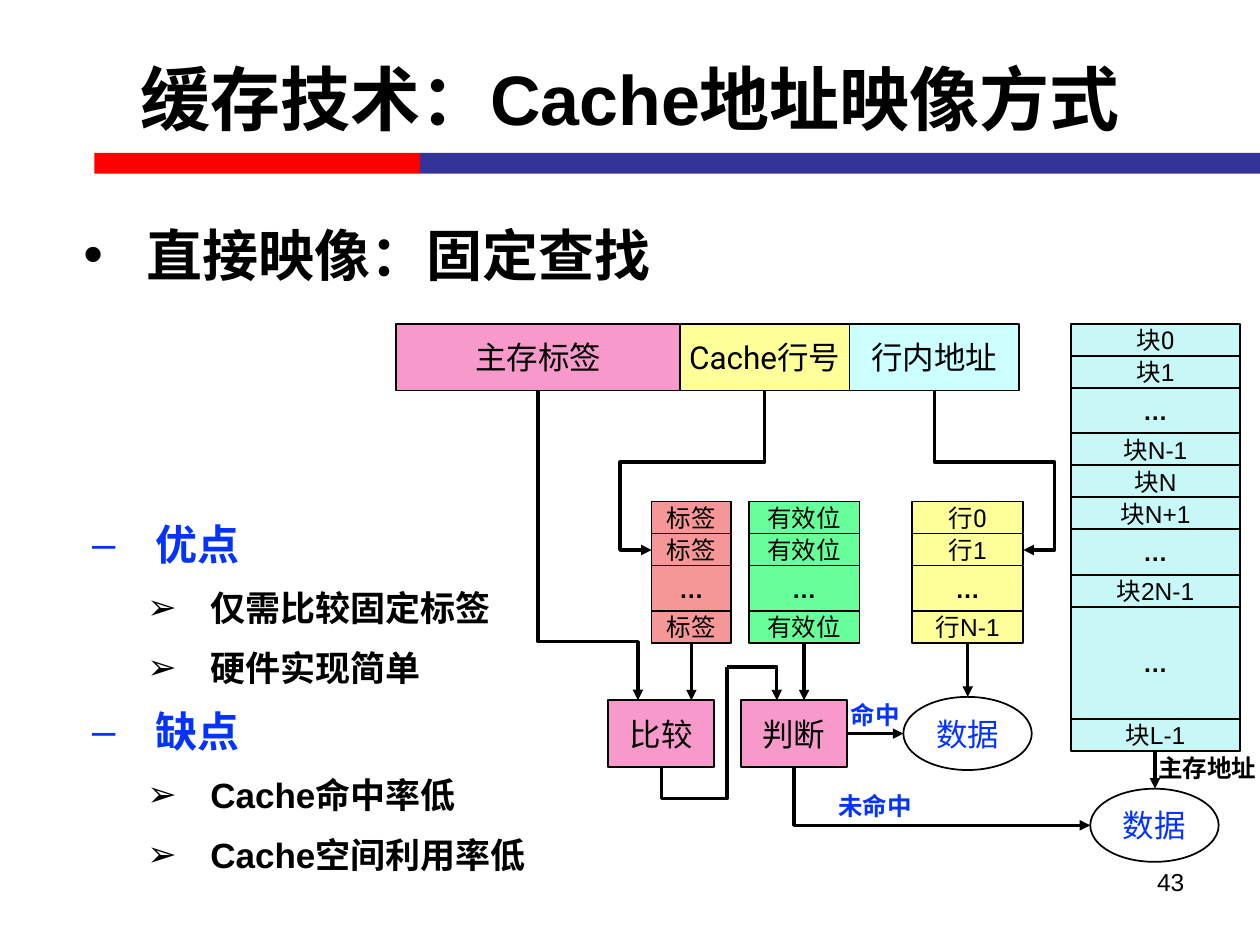
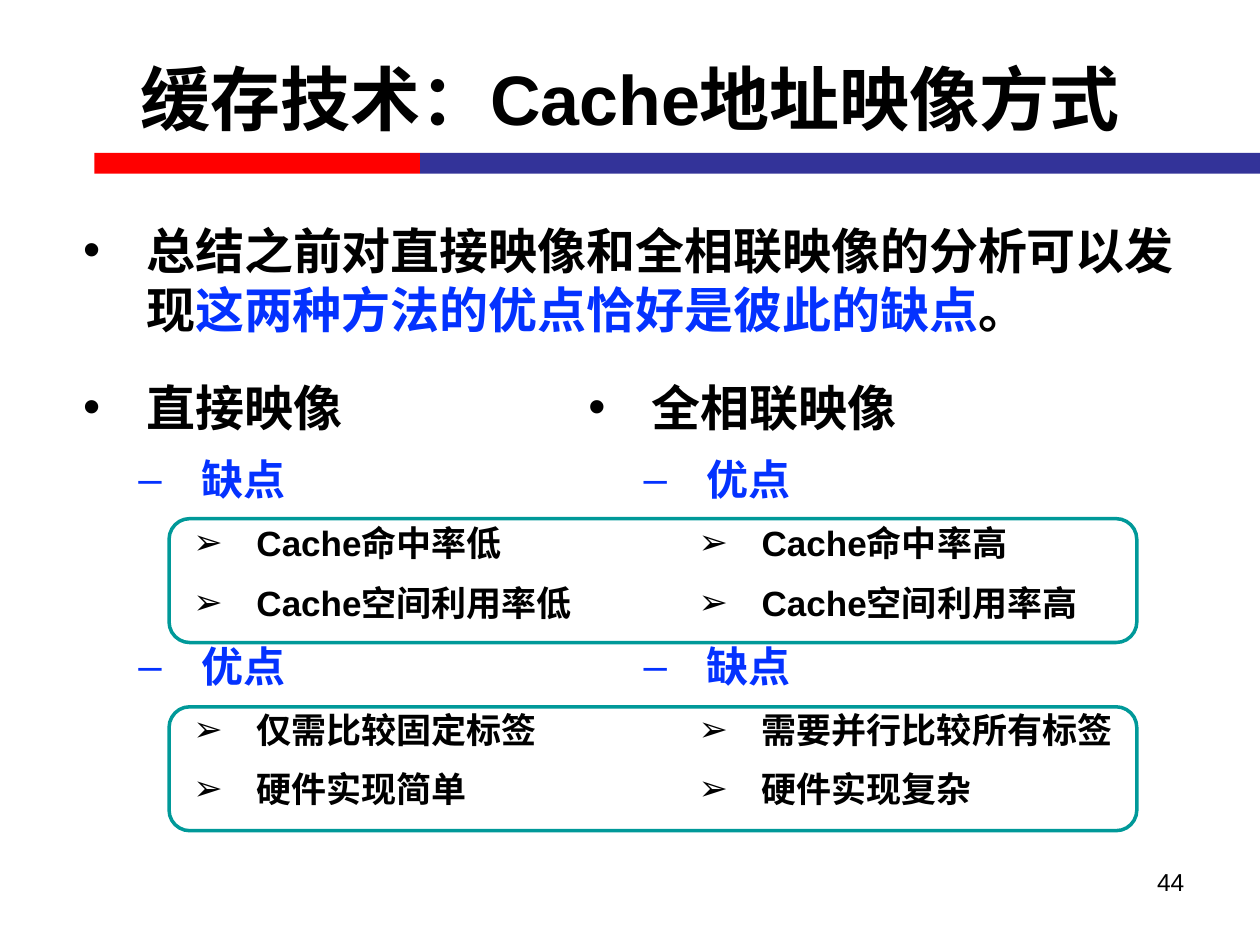
"""Build two slides on how a cache maps addresses."""
import lxml.etree
import pptx
import pptx.dml.color
import pptx.enum.shapes
import pptx.enum.text
import pptx.oxml
import pptx.oxml.ns
import pptx.util

Pt = pptx.util.Pt
SHAPE = pptx.enum.shapes.MSO_SHAPE
LINK = pptx.enum.shapes.MSO_CONNECTOR
ALIGN = pptx.enum.text.PP_ALIGN
MIDDLE = pptx.enum.text.MSO_ANCHOR.MIDDLE
qn = pptx.oxml.ns.qn

HUES = {
    "ink": "000000", "blue": "0432FF", "red": "FF0000", "navy": "333399",
    "pink": "F899CC", "yellow": "FEFF99", "ice": "CCFFFF", "salmon": "F49796",
    "green": "66FF99", "aqua": "C7F8F7", "teal": "009999",
}
TITLE = "缓存技术：Cache地址映像方式"
LEVELS = {"•": (40.5, 28, "ink"), "–": (72, 24, "blue"), "➢": (103.5, 20, "ink")}
ROW, GAP, TALL = 18.3, 26, 64
HEAD_TOP, CACHE_TOP, BOX_TOP = 185, 286.6, 400.2
BOX_HIGH = 38.2
OVAL = (73.4, 41.8)

LOW = ["Cache命中率低", "Cache空间利用率低"]
HIGH = ["Cache命中率高", "Cache空间利用率高"]
SIMPLE = ["仅需比较固定标签", "硬件实现简单"]
COMPLEX = ["需要并行比较所有标签", "硬件实现复杂"]


def rgb(hue):
    """Return the named colour."""
    return pptx.dml.color.RGBColor.from_string(HUES[hue])


def add_run(para, text, hue="ink", **form):
    """Add a run with the given format."""
    run = para.add_run()
    run.text = text
    values = {"name": "Arial", "size": 14, "bold": False, **form}
    values["size"] = Pt(values["size"])
    for key, value in values.items():
        setattr(run.font, key, value)
    run.font.color.rgb = rgb(hue)


def add_shape(slide, kind, box, fill=None, line=None, width=1):
    """Add a preset shape with no shadow."""
    shape = slide.shapes.add_shape(kind, *map(Pt, box))
    shape.shadow.inherit = False
    if fill:
        shape.fill.solid()
        shape.fill.fore_color.rgb = rgb(fill)
    else:
        shape.fill.background()
    if line:
        shape.line.color.rgb = rgb(line)
        shape.line.width = Pt(width)
    else:
        shape.line.fill.background()
    return shape


def add_node(slide, box, runs, fill=None, kind=SHAPE.RECTANGLE, **form):
    """Add an outlined shape with centred text."""
    frame = add_shape(slide, kind, box, fill, "ink").text_frame
    frame.word_wrap = False
    frame.vertical_anchor = MIDDLE
    para = frame.paragraphs[0]
    para.alignment = ALIGN.CENTER
    for text, name in runs:
        add_run(para, text, name=name, **form)


def add_stack(slide, left, top, wide, fill, cells):
    """Stack cells downward, each as (runs, height)."""
    for runs, high in cells:
        add_node(slide, (left, top, wide, high), runs, fill, bold=runs[0][0] == "…")
        top += high


def cell(text, font="Arial", high=ROW):
    """Return a cell with a single run."""
    return [(text, font)], high


def add_text(slide, box, text, align=ALIGN.CENTER, hue="ink", **form):
    """Add a one-line text box without side margins."""
    frame = slide.shapes.add_textbox(*map(Pt, box)).text_frame
    for key, value in {"word_wrap": True, "margin_left": 0, "margin_right": 0}.items():
        setattr(frame, key, value)
    para = frame.paragraphs[0]
    para.alignment = align
    add_run(para, text, hue, **form)


def add_list(slide, box, items, size=None):
    """Add a bullet list of (mark, runs), each run being (text, hue)."""
    frame = slide.shapes.add_textbox(*map(Pt, box)).text_frame
    frame.word_wrap = True
    for num, (mark, runs) in enumerate(items):
        para = frame.add_paragraph() if num else frame.paragraphs[0]
        margin, points, hue = LEVELS[mark]
        props = para._p.get_or_add_pPr()
        props.set("marL", str(int(Pt(margin))))
        props.set("indent", str(int(Pt(-36))))
        lxml.etree.SubElement(props, qn("a:buFont"), typeface="Arial")
        lxml.etree.SubElement(props, qn("a:buChar"), char=mark)
        para.space_before = Pt(10 if num else 0)
        for text, tint in runs:
            add_run(para, text, tint or hue, size=size or points, bold=True)


def group(head, points):
    """Return a dash item followed by its arrow items."""
    return [("–", [(head, None)])] + [("➢", [(text, None)]) for text in points]


def finish(link, arrow):
    """Format a connector and give it an arrowhead."""
    link.line.color.rgb = rgb("ink")
    link.line.width = Pt(2)
    if arrow:
        lxml.etree.SubElement(link.line._get_or_add_ln(), qn("a:tailEnd"), type="triangle")
    lxml.etree.SubElement(link._element.spPr, qn("a:effectLst"))


def add_arrow(slide, start, end):
    """Add a straight arrow."""
    finish(slide.shapes.add_connector(LINK.STRAIGHT, *map(Pt, start + end)), True)


def add_bend(slide, start, end, bends, turn, flip, adjust, arrow=True):
    """Add a bent connector turned about its centre."""
    wide, high = abs(end[0] - start[0]), abs(end[1] - start[1])
    mid_x, mid_y = (start[0] + end[0]) / 2, (start[1] + end[1]) / 2
    if turn:
        wide, high = high, wide
    left, top = mid_x - wide / 2, mid_y - high / 2
    link = slide.shapes.add_connector(LINK.ELBOW, *map(Pt, (left, top, left + wide, top + high)))
    props = link._element.spPr
    frame = props.find(qn("a:xfrm"))
    frame.set("rot", str(turn * 60000))
    for axis in flip:
        frame.set("flip" + axis, "1")
    form = props.find(qn("a:prstGeom"))
    form.set("prst", f"bentConnector{bends}")
    guides = form.find(qn("a:avLst"))
    for num, value in enumerate(adjust, 1):
        lxml.etree.SubElement(guides, qn("a:gd"), name=f"adj{num}",
                              fmla=f"val {round(value * 100000)}")
    finish(link, arrow)


def add_page(deck, number):
    """Add a slide with its bands, title and number."""
    slide = deck.slides.add_slide(deck.slide_layouts[5])
    add_shape(slide, SHAPE.RECTANGLE, (54, 87.3, 186, 12), "red")
    add_shape(slide, SHAPE.RECTANGLE, (240, 87.3, 480, 12), "navy")
    title = slide.shapes.title
    place = {"left": 36, "top": 10.8, "width": 648, "height": 90}
    for key, value in place.items():
        setattr(title, key, Pt(value))
    title.text_frame.vertical_anchor = MIDDLE
    para = title.text_frame.paragraphs[0]
    para.alignment = ALIGN.CENTER
    add_run(para, TITLE, size=40, bold=True)
    add_text(slide, (516, 492, 160.8, 37), str(number), ALIGN.RIGHT)
    return slide


def add_tables(slide):
    """Draw the address fields, cache columns and memory blocks."""
    left = 226.5
    for text, wide, fill in (("主存标签", 162, "pink"), ("Cache行号", 97, "yellow"),
                             ("行内地址", 97, "ice")):
        add_node(slide, (left, HEAD_TOP, wide, BOX_HIGH), [(text, "Roboto")], fill, size=18)
        left += wide
    dots = cell("…", high=GAP)
    tag, valid = cell("标签", "Roboto"), cell("有效位")
    lines = [cell("行0", "Roboto"), cell("行1"), dots, cell("行N-1")]
    add_stack(slide, 372.4, CACHE_TOP, 45.4, "salmon", [tag, tag, dots, tag])
    add_stack(slide, 427.8, CACHE_TOP, 63.4, "green", [valid, valid, dots, valid])
    add_stack(slide, 521.3, CACHE_TOP, 63.4, "yellow", lines)
    blocks = [([("块", "Arial"), ("0", "Roboto")], ROW), cell("块1"), dots,
              cell("块N-1"), cell("块N"), cell("块N+1"), dots, cell("块2N-1"),
              cell("…", high=TALL), cell("块L-1")]
    add_stack(slide, 612, HEAD_TOP, 96.5, "aqua", blocks)


def add_flow(slide):
    """Draw the lookup steps, their links and labels."""
    for left, text in ((347.6, "比较"), (423.4, "判断")):
        add_node(slide, (left, BOX_TOP, 60.5, BOX_HIGH), [(text, "Arial")], "pink", size=18)
    for spot in ((516.2, 398.2), (623, 450.7)):
        add_node(slide, spot + OVAL, [("数据", "Arial")], None, SHAPE.OVAL, size=18, hue="blue")
    base = HEAD_TOP + BOX_HIGH
    foot = BOX_TOP + BOX_HIGH
    add_bend(slide, (437, base), (372.4, 314.3), 4, 90, "", (0.449, 1.28))
    add_bend(slide, (534, base), (584.7, 314.3), 4, 270, "H", (0.449, 1.353))
    add_bend(slide, (307.5, base), (364.5, BOX_TOP), 3, 270, "H", (0.811,))
    add_bend(slide, (377.9, foot), (415.5, 381), 3, 90, "HV", (-0.313,), False)
    add_bend(slide, (415.5, 381), (444, BOX_TOP), 3, 0, "", (0.996,))
    add_bend(slide, (453.7, foot), (623, 471.6), 2, 270, "H", ())
    for start, end in (((395.1, 367.5), (395.1, BOX_TOP)), ((459.5, 367.5), (459.5, BOX_TOP)),
                       ((553, 367.5), (553, 398.2)), ((483.9, 419.2), (516.2, 419.2)),
                       ((660, 429), (660, 450.7))):
        add_arrow(slide, start, end)
    for box, text, hue in (((478.8, 396.7, 43, 24.2), "命中", "blue"),
                           ((470, 448.7, 60, 24.2), "未命中", "blue"),
                           ((659.8, 426.7, 60, 24.2), "主存地址", "ink")):
        add_text(slide, box, text, hue=hue, bold=True)


def main():
    """Build and save the deck."""
    deck = pptx.Presentation()
    deck.slide_width, deck.slide_height = Pt(720), Pt(540)

    slide = add_page(deck, 43)
    add_list(slide, (36, 122.4, 372, 68), [("•", [("直接映像：固定查找", None)])], 32)
    add_tables(slide)
    add_flow(slide)
    add_list(slide, (9.6, 293, 372, 215), group("优点", SIMPLE) + group("缺点", LOW))

    slide = add_page(deck, 44)
    add_list(slide, (36, 122.4, 648, 80), [("•", [
        ("总结之前对直接映像和全相联映像的分析可以发现", None),
        ("这两种方法的优点恰好是彼此的缺点", "blue"), ("。", None)])])
    for left, head, parts in ((324.7, "全相联映像", (("优点", HIGH), ("缺点", COMPLEX))),
                              (36, "直接映像", (("缺点", LOW), ("优点", SIMPLE)))):
        items = [("•", [(head, None)])]
        for name, points in parts:
            items += group(name, points)
        add_list(slide, (left, 212, 324, 265), items)
    for top in (296.4, 403.9):
        add_shape(slide, SHAPE.ROUNDED_RECTANGLE, (96.6, top, 553, 70.8), None, "teal", 2)
    deck.save("out.pptx")


if __name__ == "__main__":
    main()
